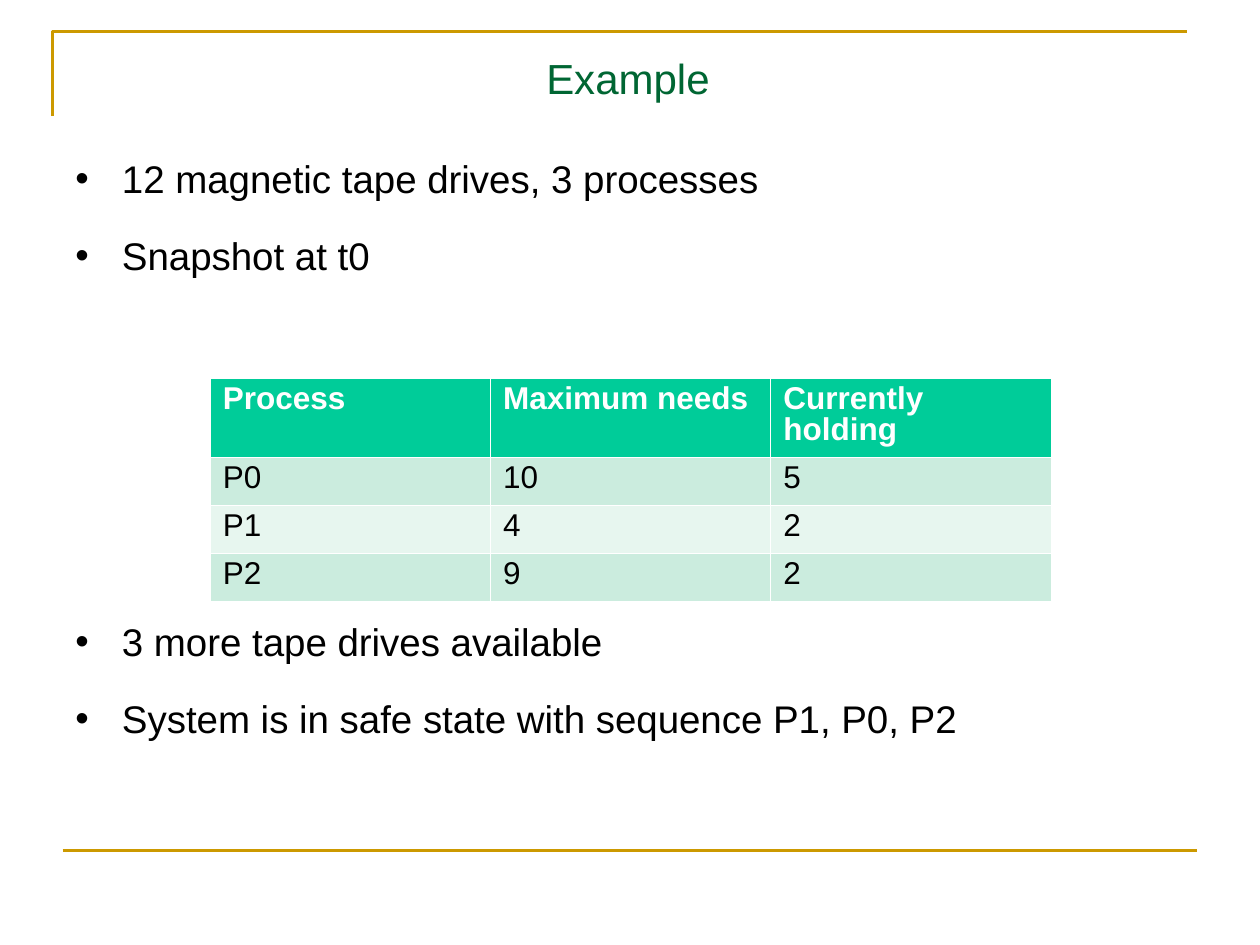
from lxml import etree
from pptx import Presentation
from pptx import util as u
from pptx.dml.color import RGBColor
from pptx.enum import shapes, text
from pptx.oxml.ns import qn

GOLD = RGBColor(0xCC, 0x99, 0x00)
GREEN = RGBColor(0x00, 0x66, 0x33)
BLACK = RGBColor(0x00, 0x00, 0x00)
WHITE = RGBColor(0xFF, 0xFF, 0xFF)
HEADER = RGBColor(0x00, 0xCC, 0x99)
BAND_DARK = RGBColor(0xCB, 0xEC, 0xDE)
BAND_LIGHT = RGBColor(0xE7, 0xF6, 0xEF)

ROWS = [
    ["Process", "Maximum needs", "Currently holding"],
    ["P0", "10", "5"],
    ["P1", "4", "2"],
    ["P2", "9", "2"],
]


def set_font(paragraph, size, color, bold=False):
    font = paragraph.font
    font.name = "Arial"
    font.size = u.Pt(size)
    font.color.rgb = color
    font.bold = bold


def add_frame(page, left, top, width, height):
    corner = page.shapes.build_freeform(u.Cm(left), u.Cm(top + 1.7))
    corner.add_line_segments(
        [(u.Cm(left), u.Cm(top)), (u.Cm(left + width), u.Cm(top))], close=False
    )
    outline = corner.convert_to_shape()
    outline.shadow.inherit = False
    outline.fill.background()
    bottom = u.Cm(top + height)
    rule = page.shapes.add_connector(
        shapes.MSO_CONNECTOR.STRAIGHT,
        u.Cm(left + 0.2), bottom, u.Cm(left + width + 0.2), bottom,
    )
    etree.SubElement(rule._element.spPr, qn("a:effectLst"))
    for shape in (outline, rule):
        shape.line.color.rgb = GOLD
        shape.line.width = u.Pt(1.5)


def add_text_box(page, left, top, width, height):
    box = page.shapes.add_textbox(u.Cm(left), u.Cm(top), u.Cm(width), u.Cm(height))
    box.text_frame.word_wrap = True
    return box.text_frame


def add_title(page, left, top, width, height, title):
    frame = add_text_box(page, left, top, width, height)
    frame.vertical_anchor = text.MSO_ANCHOR.MIDDLE
    para = frame.paragraphs[0]
    para.text = title
    para.alignment = text.PP_ALIGN.CENTER
    set_font(para, 24, GREEN)


def add_bullets(page, left, top, width, height, items):
    frame = add_text_box(page, left, top, width, height)
    for index, item in enumerate(items):
        para = frame.add_paragraph() if index else frame.paragraphs[0]
        para.text = item
        para.line_spacing = 1.5
        if index:
            para.space_before = u.Pt(4.5)
        properties = para._p.get_or_add_pPr()
        properties.set("marL", str(u.Cm(0.94)))
        properties.set("indent", str(-u.Cm(0.94)))
        etree.SubElement(properties, qn("a:buFont"), typeface="Arial")
        etree.SubElement(properties, qn("a:buChar"), char="•")
        set_font(para, 22, BLACK)


def add_borders(cell):
    properties = cell._tc.get_or_add_tcPr()
    for position, side in enumerate(("lnL", "lnR", "lnT", "lnB")):
        border = etree.Element(qn(f"a:{side}"), w=str(u.Pt(0.75)))
        fill = etree.SubElement(border, qn("a:solidFill"))
        etree.SubElement(fill, qn("a:srgbClr"), val=str(WHITE))
        properties.insert(position, border)


def add_process_table(page, left, top, width, header_height, row_height):
    height = header_height + row_height * (len(ROWS) - 1)
    table = page.shapes.add_table(
        len(ROWS), len(ROWS[0]), u.Cm(left), u.Cm(top), u.Cm(width), u.Cm(height)
    ).table
    for row_index, values in enumerate(ROWS):
        is_header = row_index == 0
        table.rows[row_index].height = u.Cm(header_height if is_header else row_height)
        band = BAND_DARK if row_index % 2 else BAND_LIGHT
        for column_index, value in enumerate(values):
            cell = table.cell(row_index, column_index)
            cell.fill.solid()
            cell.fill.fore_color.rgb = HEADER if is_header else band
            add_borders(cell)
            para = cell.text_frame.paragraphs[0]
            para.text = value
            para.line_spacing = 0.88
            set_font(para, 18, WHITE if is_header else BLACK, bold=is_header)


def main():
    deck = Presentation()
    deck.slide_width = u.Cm(25.4)
    deck.slide_height = u.Cm(19.05)
    page = deck.slides.add_slide(deck.slide_layouts[6])
    add_frame(page, 1.06, 0.64, 22.86, 16.51)
    add_title(page, 1.27, 0.84, 22.78, 1.47, "Example")
    add_bullets(page, 1.27, 2.54, 22.78, 3.6, [
        "12 magnetic tape drives, 3 processes",
        "Snapshot at t0",
    ])
    add_process_table(page, 4.24, 7.62, 16.95, 1.59, 0.97)
    add_bullets(page, 1.27, 11.87, 22.78, 3.6, [
        "3 more tape drives available",
        "System is in safe state with sequence P1, P0, P2",
    ])
    deck.save("out.pptx")


if __name__ == "__main__":
    main()
